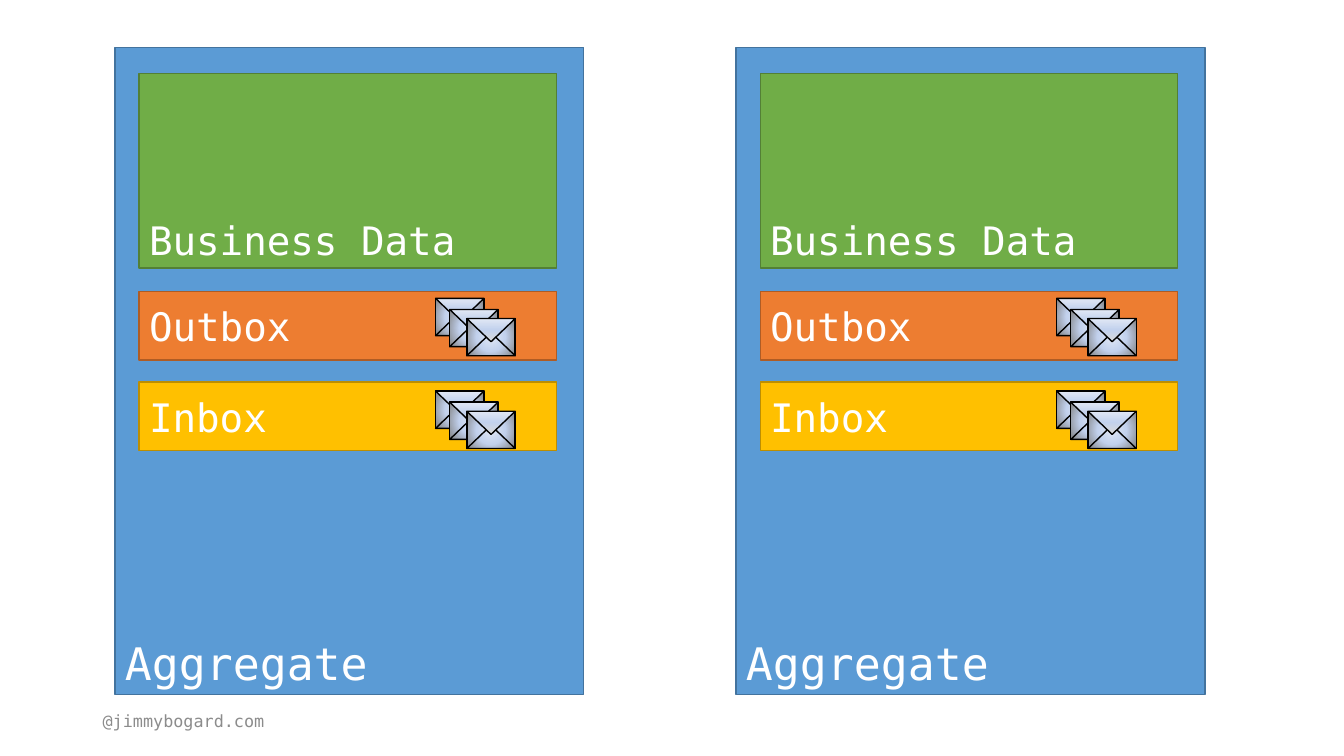
"""Build a slide of two aggregates, each with business data, an outbox and an inbox."""
from dataclasses import dataclass

from lxml import etree
from pptx import Presentation
from pptx.dml.color import RGBColor
from pptx.enum.shapes import MSO_SHAPE
from pptx.enum.text import MSO_ANCHOR, PP_ALIGN
from pptx.oxml.ns import qn
from pptx.shapes.autoshape import Shape
from pptx.shapes.shapetree import GroupShapes, SlideShapes
from pptx.text.text import TextFrame
from pptx.util import Inches, Pt

RECT = MSO_SHAPE.RECTANGLE
WEDGE = MSO_SHAPE.ISOSCELES_TRIANGLE
LOW = MSO_ANCHOR.BOTTOM
MID = MSO_ANCHOR.MIDDLE
LEFT = PP_ALIGN.LEFT


@dataclass(frozen=True)
class Theme:
    """Hold the colours, type sizes and line width."""
    font: str = "DejaVu Sans Mono"
    white: str = "FFFFFF"
    black: str = "000000"
    grey: str = "8C8C8C"
    blue: tuple[str, str] = ("5B9BD5", "43739E")
    green: tuple[str, str] = ("70AD47", "538035")
    orange: tuple[str, str] = ("ED7D31", "AF5C24")
    gold: tuple[str, str] = ("FFC000", "BD8E00")
    paper: tuple[str, str, str] = ("E1E8F5", "C2D1ED", "808080")
    flap: tuple[str, str, str] = ("E1E8F5", "C2D1ED", "D9D9D9")
    stops: tuple[int, int, int] = (0, 48, 100)
    title: int = 32
    label: int = 28
    foot: int = 12
    line: int = 1


@dataclass(frozen=True)
class Panel:
    """Describe a labelled box, with its left side relative to its aggregate."""
    text: str
    left: float
    top: float
    width: float
    height: float
    tint: tuple[str, str]
    size: int
    anchor: MSO_ANCHOR
    mail: float | None = None


THEME = Theme()
STARTS = (1.14, 7.3)
PANELS = (
    Panel("Aggregate", 0, 0.47, 4.65, 6.42, THEME.blue, THEME.title, LOW),
    Panel("Business Data", 0.24, 0.73, 4.14, 1.93, THEME.green, THEME.label, LOW),
    Panel("Outbox", 0.24, 2.89, 4.14, 0.68, THEME.orange, THEME.label, MID, 2.96),
    Panel("Inbox", 0.24, 3.79, 4.14, 0.68, THEME.gold, THEME.label, MID, 3.88),
)
MAIL_LEFT = 3.18
MAIL_STEPS = ((0, 0), (0.14, 0.11), (0.31, 0.2))
MAIL_WIDTH, MAIL_HEIGHT, FLAP_HEIGHT = 0.48, 0.37, 0.23


def write(frame: TextFrame, text: str, size: int, tint: str, anchor: MSO_ANCHOR) -> None:
    """Write one left-aligned run into a text frame."""
    frame.word_wrap = True
    frame.vertical_anchor = anchor
    para = frame.paragraphs[0]
    para.alignment = LEFT
    run = para.add_run()
    run.text = text
    run.font.name = THEME.font
    run.font.size = Pt(size)
    run.font.color.rgb = RGBColor.from_string(tint)


def draw(shapes: SlideShapes | GroupShapes, kind: MSO_SHAPE, left: float, top: float,
         width: float, height: float, edge: str) -> Shape:
    """Draw an unfilled, outlined shape without a shadow."""
    shape = shapes.add_shape(kind, Inches(left), Inches(top), Inches(width), Inches(height))
    shape.shadow.inherit = False
    shape.fill.background()
    shape.line.color.rgb = RGBColor.from_string(edge)
    shape.line.width = Pt(THEME.line)
    return shape


def shade(shape: Shape, tints: tuple[str, str, str], round_: bool) -> None:
    """Fill a shape with a round or an upward gradient."""
    blend = etree.Element(qn("a:gradFill"), rotWithShape="1")
    stops = etree.SubElement(blend, qn("a:gsLst"))
    for place, tint in zip(THEME.stops, tints):
        stop = etree.SubElement(stops, qn("a:gs"), pos=str(place * 1000))
        etree.SubElement(stop, qn("a:srgbClr"), val=tint)
    if round_:
        course = etree.SubElement(blend, qn("a:path"), path="circle")
        etree.SubElement(course, qn("a:fillToRect"), l="50000", t="50000", r="50000", b="50000")
    else:
        etree.SubElement(blend, qn("a:lin"), ang=str(270 * 60000), scaled="0")
    props = shape._element.spPr
    props.replace(props.find(qn("a:noFill")), blend)


def draw_mail(shapes: SlideShapes, left: float, top: float) -> None:
    """Draw a group of three stacked envelopes."""
    group = shapes.add_group_shape().shapes
    for right, down in MAIL_STEPS:
        x, y = left + right, top + down
        body = draw(group, RECT, x, y, MAIL_WIDTH, MAIL_HEIGHT, THEME.black)
        shade(body, THEME.paper, True)
        draw(group, WEDGE, x, y + MAIL_HEIGHT - FLAP_HEIGHT, MAIL_WIDTH, FLAP_HEIGHT, THEME.black)
        flap = draw(group, WEDGE, x, y, MAIL_WIDTH, FLAP_HEIGHT, THEME.black)
        flap.rotation = 180
        shade(flap, THEME.flap, False)


def draw_panel(shapes: SlideShapes, panel: Panel, start: float) -> None:
    """Draw a filled box with its label."""
    fill, edge = panel.tint
    box = draw(shapes, RECT, start + panel.left, panel.top, panel.width, panel.height, edge)
    box.fill.solid()
    box.fill.fore_color.rgb = RGBColor.from_string(fill)
    write(box.text_frame, panel.text, panel.size, THEME.white, panel.anchor)


def main() -> None:
    """Build and save the slide."""
    deck = Presentation()
    deck.slide_width, deck.slide_height = Inches(13.33), Inches(7.5)
    shapes = deck.slides.add_slide(deck.slide_layouts[6]).shapes
    for start in STARTS:
        for panel in PANELS:
            draw_panel(shapes, panel, start)
        for panel in PANELS:
            if panel.mail is not None:
                draw_mail(shapes, start + MAIL_LEFT, panel.mail)
    foot = shapes.add_textbox(Inches(0.92), Inches(6.95), Inches(3), Inches(0.4))
    write(foot.text_frame, "@jimmybogard.com", THEME.foot, THEME.grey, MID)
    deck.save("out.pptx")


if __name__ == "__main__":
    main()
